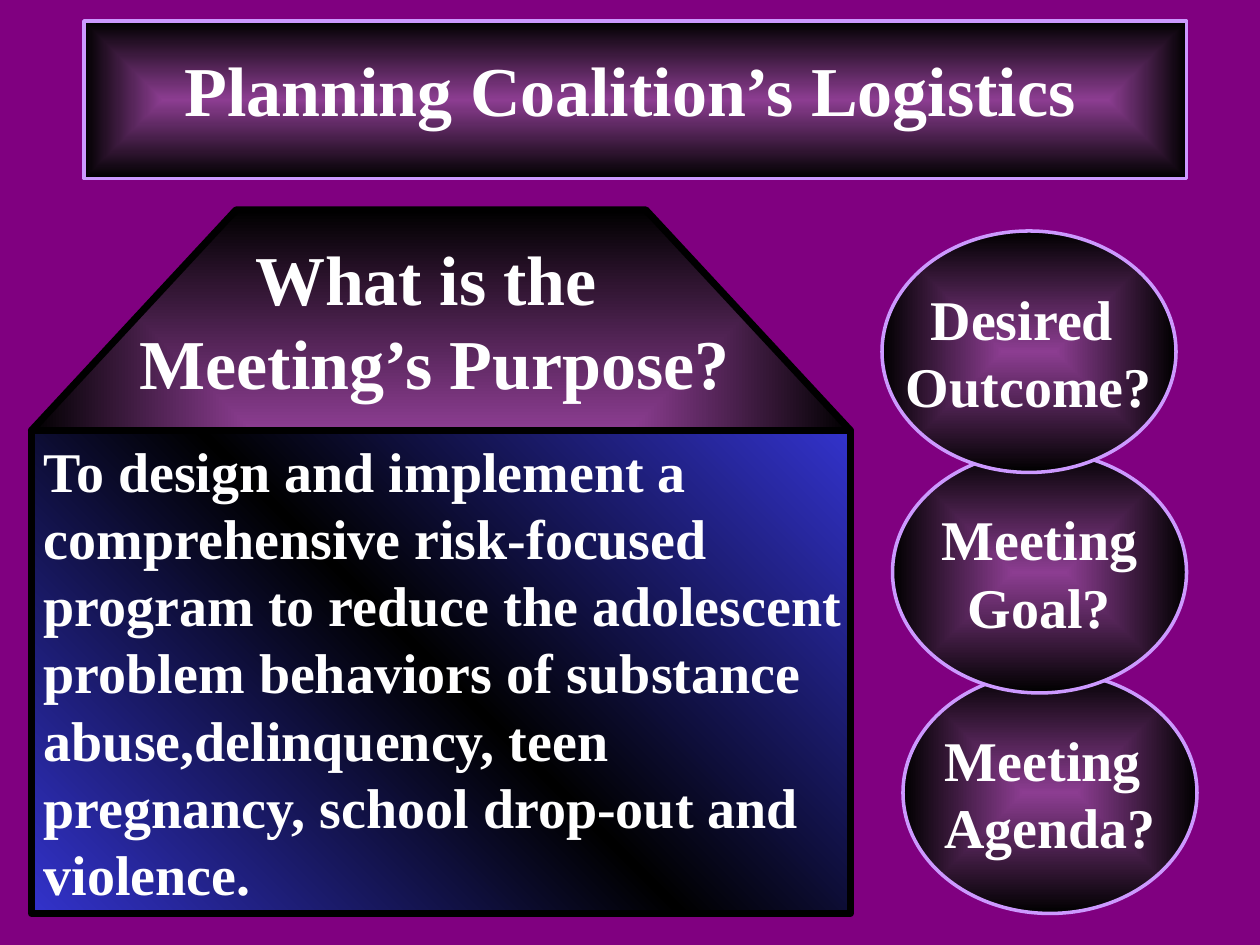
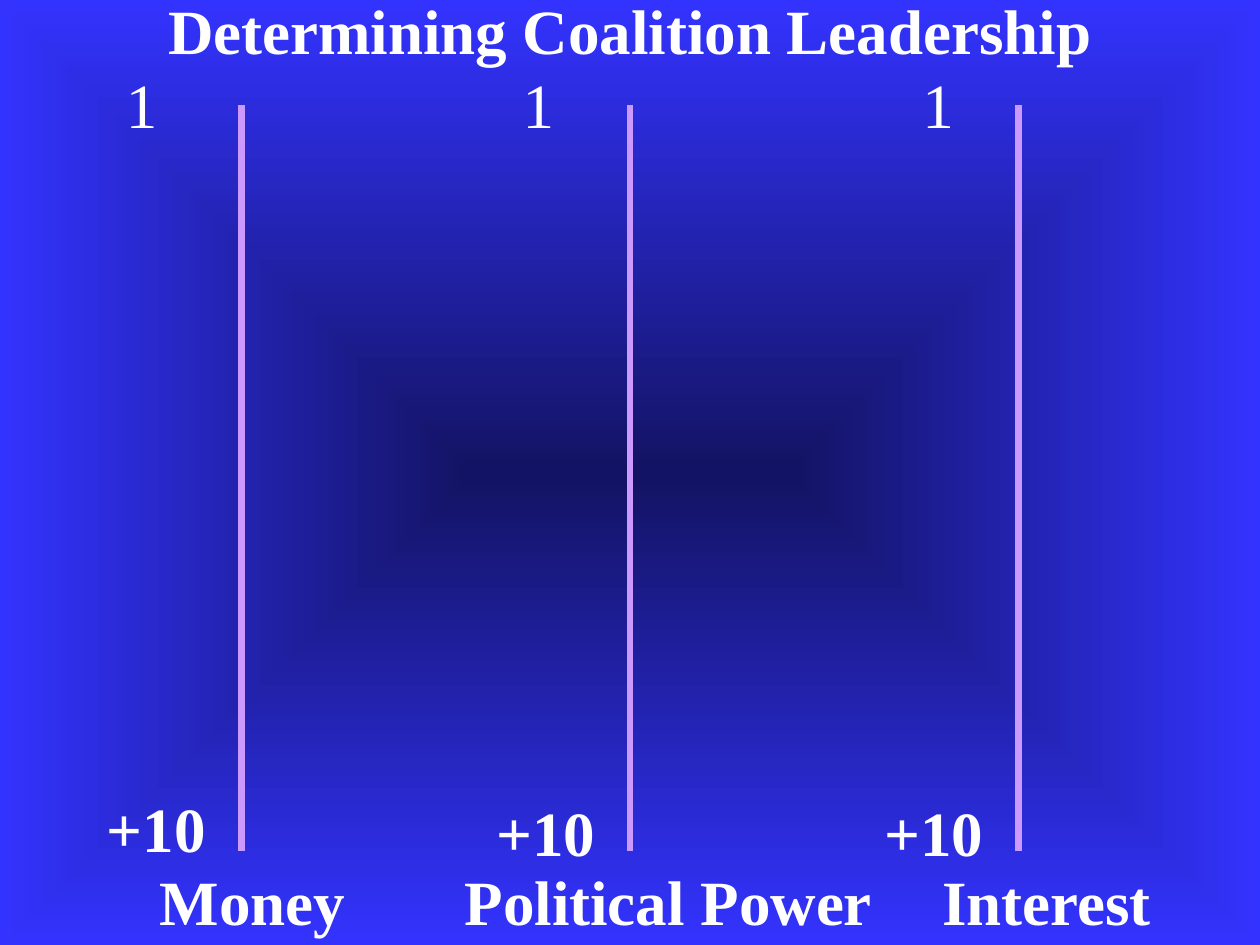
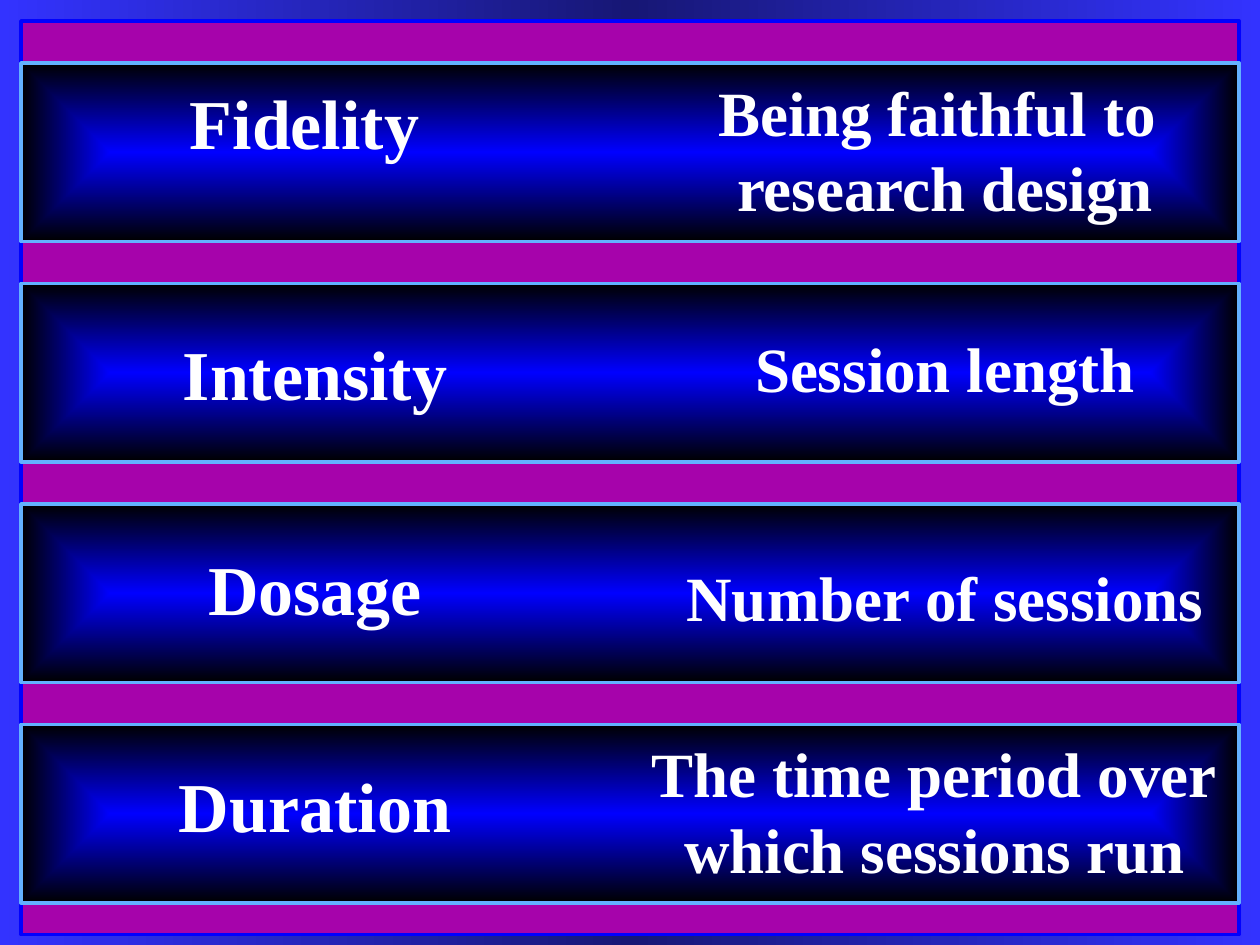
"""Build three slides on planning a coalition, choosing its leaders and running its program."""
from lxml import etree
from pptx import Presentation
from pptx.dml.color import RGBColor
from pptx.enum.shapes import MSO_CONNECTOR, MSO_SHAPE
from pptx.enum.text import MSO_ANCHOR, MSO_AUTO_SIZE, PP_ALIGN
from pptx.oxml.ns import qn
from pptx.util import Pt

RECT, OVAL, HEXAGON = MSO_SHAPE.RECTANGLE, MSO_SHAPE.OVAL, MSO_SHAPE.HEXAGON
LEFT, CENTER = PP_ALIGN.LEFT, PP_ALIGN.CENTER
TOP, MIDDLE = MSO_ANCHOR.TOP, MSO_ANCHOR.MIDDLE
FONT, WHITE, LILAC, BLACK = "Times New Roman", "FFFFFF", "CC99FF", "000000"
PURPLE_GLOW = ("8C3D91", BLACK)
BLUE_GLOW = ("0000FF", BLACK)


def paint(fill, *colors, angle=None):
    """Fill with one colour, a linear gradient, or a gradient from the centre out."""
    if len(colors) == 1:
        fill.solid()
        fill.fore_color.rgb = RGBColor.from_string(colors[0])
        return
    fill.gradient()
    grad = fill._xPr.find(qn("a:gradFill"))
    grad.clear()
    grad.set("rotWithShape", "1")
    stops = etree.SubElement(grad, qn("a:gsLst"))
    for i, color in enumerate(colors):
        gs = etree.SubElement(stops, qn("a:gs"), pos=str(100000 * i // (len(colors) - 1)))
        etree.SubElement(gs, qn("a:srgbClr"), val=color)
    if angle is None:
        path = etree.SubElement(grad, qn("a:path"), path="rect")
        etree.SubElement(path, qn("a:fillToRect"), l="50000", t="50000", r="50000", b="50000")
    else:
        etree.SubElement(grad, qn("a:lin"), ang=str(angle * 60000), scaled="0")


def write(sp, lines, size, align=CENTER, anchor=MIDDLE, bold=True, wrap=True):
    """Write one paragraph per line in the shared white type."""
    tf = sp.text_frame
    tf.word_wrap, tf.auto_size, tf.vertical_anchor = wrap, MSO_AUTO_SIZE.NONE, anchor
    tf.text = "\n".join(lines)
    for p in tf.paragraphs:
        p.alignment = align
        p.font.name, p.font.size, p.font.bold = FONT, Pt(size), bold
        paint(p.font.fill, WHITE)


prs = Presentation()
prs.slide_width, prs.slide_height = Pt(720), Pt(540)
title_only, blank = prs.slide_layouts[5], prs.slide_layouts[6]

s = prs.slides.add_slide(title_only)
paint(s.background.fill, "800080")
panels = [
    (HEXAGON, (18, 120, 468, 252), PURPLE_GLOW, None, BLACK, 4),
    (RECT, (18, 246, 468, 276), ("3333CC", BLACK, "3333CC"), 135, BLACK, 4),
    (RECT, (48, 12, 630, 90), PURPLE_GLOW, None, LILAC, 2),
]
for kind, box, colors, angle, edge, width in panels:
    sp = s.shapes.add_shape(kind, *map(Pt, box))
    sp.shadow.inherit = False
    paint(sp.fill, *colors, angle=angle)
    paint(sp.line.fill, edge)
    sp.line.width = Pt(width)
    if kind == HEXAGON:
        sp.adjustments[0] = 0.464

purpose = [
    "To design and implement a",
    "comprehensive risk-focused",
    "program to reduce the adolescent",
    "problem behaviors of substance",
    "abuse,delinquency, teen",
    "pregnancy, school drop-out and",
    "violence.",
]
sp = s.shapes.add_textbox(Pt(18), Pt(245.5), Pt(479.5), Pt(276.5))
write(sp, purpose, 32, align=LEFT, wrap=False)
sp = s.shapes.add_textbox(Pt(48), Pt(131), Pt(401), Pt(103))
write(sp, ["What is the ", "Meeting’s Purpose?"], 40, anchor=TOP)

questions = [("Meeting ", "Agenda?"), ("Meeting", "Goal?"), ("Desired ", "Outcome?")]
for i, lines in enumerate(questions):
    sp = s.shapes.add_shape(OVAL, Pt(516 - 6 * i), Pt(384 - 126 * i), Pt(168), Pt(138))
    sp.shadow.inherit = False
    paint(sp.fill, *PURPLE_GLOW)
    paint(sp.line.fill, LILAC)
    sp.line.width = Pt(2)
    write(sp, lines, 32, wrap=False)

title = s.shapes.title
title.left, title.top, title.width, title.height = Pt(0), Pt(32.4), Pt(720), Pt(46)
write(title, ["Planning Coalition’s Logistics"], 40, anchor=TOP)
title.text_frame.paragraphs[0].line_spacing = 0.8
s.shapes._spTree.append(title._element)

s = prs.slides.add_slide(title_only)
paint(s.background.fill, "131363", "3333FF")
title = s.shapes.title
title.left, title.top, title.width, title.height = Pt(0), Pt(-8.6), Pt(720), Pt(50.4)
write(title, ["Determining Coalition Leadership"], 36)
scales = [
    ("Money", 84.2, 120, 64.8, 54, 447.8),
    ("Political Power", 258.5, 247, 291.6, 276.5, 450),
    ("Interest", 531.4, 134, 520, 498.2, 450),
]
for i, (name, name_x, name_w, low_x, high_x, high_y) in enumerate(scales):
    x = Pt(138 + 222 * i)
    line = s.shapes.add_connector(MSO_CONNECTOR.STRAIGHT, x, Pt(60), x, Pt(486))
    etree.SubElement(line._element.spPr, qn("a:effectLst"))
    paint(line.line.fill, LILAC)
    line.line.width = Pt(4)
    labels = [
        ("1", low_x, 33.8, 32.4, False),
        ("+10", high_x, high_y, 70.6, True),
        (name, name_x, 489.6, name_w, True),
    ]
    for label, left, top, width, bold in labels:
        sp = s.shapes.add_textbox(Pt(left), Pt(top), Pt(width), Pt(50.4))
        write(sp, [label], 36, align=LEFT, anchor=TOP, bold=bold, wrap=False)

s = prs.slides.add_slide(blank)
paint(s.background.fill, "3333FF", "171775", "3333FF", angle=180)
bands = [((12, 12, 696, 522), ("A603AB",), "0000FF")]
bands += [((12, 36 + 126 * i, 696, 102), BLUE_GLOW, "63B1FF") for i in range(4)]
for box, colors, edge in bands:
    sp = s.shapes.add_shape(RECT, *map(Pt, box))
    sp.shadow.inherit = False
    paint(sp.fill, *colors)
    paint(sp.line.fill, edge)
    sp.line.width = Pt(2)

terms = [
    ("Fidelity", (0, 41.8, 348, 55.4),
     ["Being faithful to ", "research design"], (360, 38.2, 360, 93.6)),
    ("Intensity", (0, 185, 360, 55.4), ["Session length"], (360, 185, 360, 50.4)),
    ("Dosage", (0, 308.2, 360, 55.4), ["Number of sessions"], (360, 315.4, 360, 50.4)),
    ("Duration", (0, 432, 360, 55.4),
     ["The time period over", "which sessions run"], (354, 416.2, 360, 93.6)),
]
for term, term_box, meaning, meaning_box in terms:
    write(s.shapes.add_textbox(*map(Pt, term_box)), [term], 40)
    write(s.shapes.add_textbox(*map(Pt, meaning_box)), meaning, 36)

prs.save("out.pptx")
